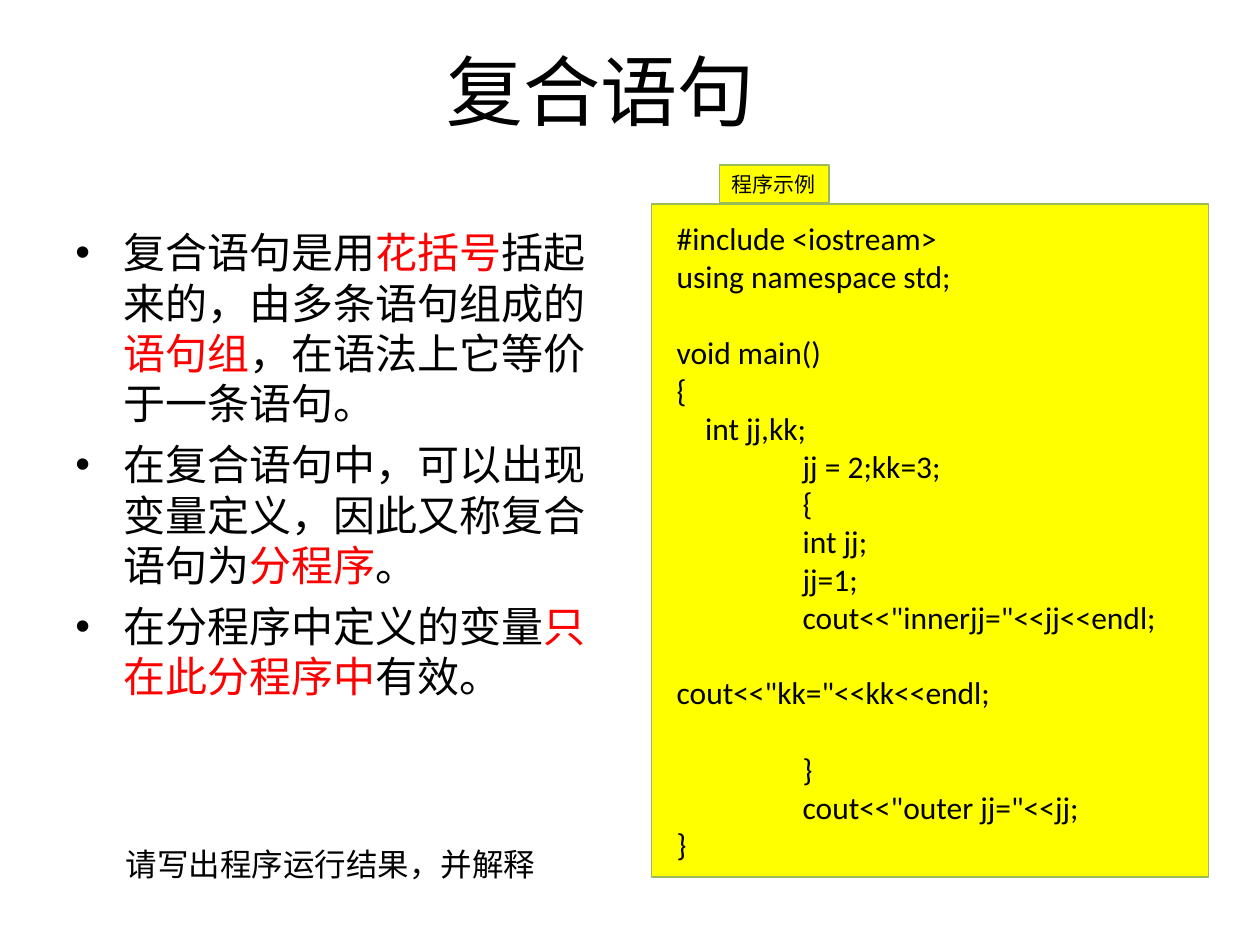
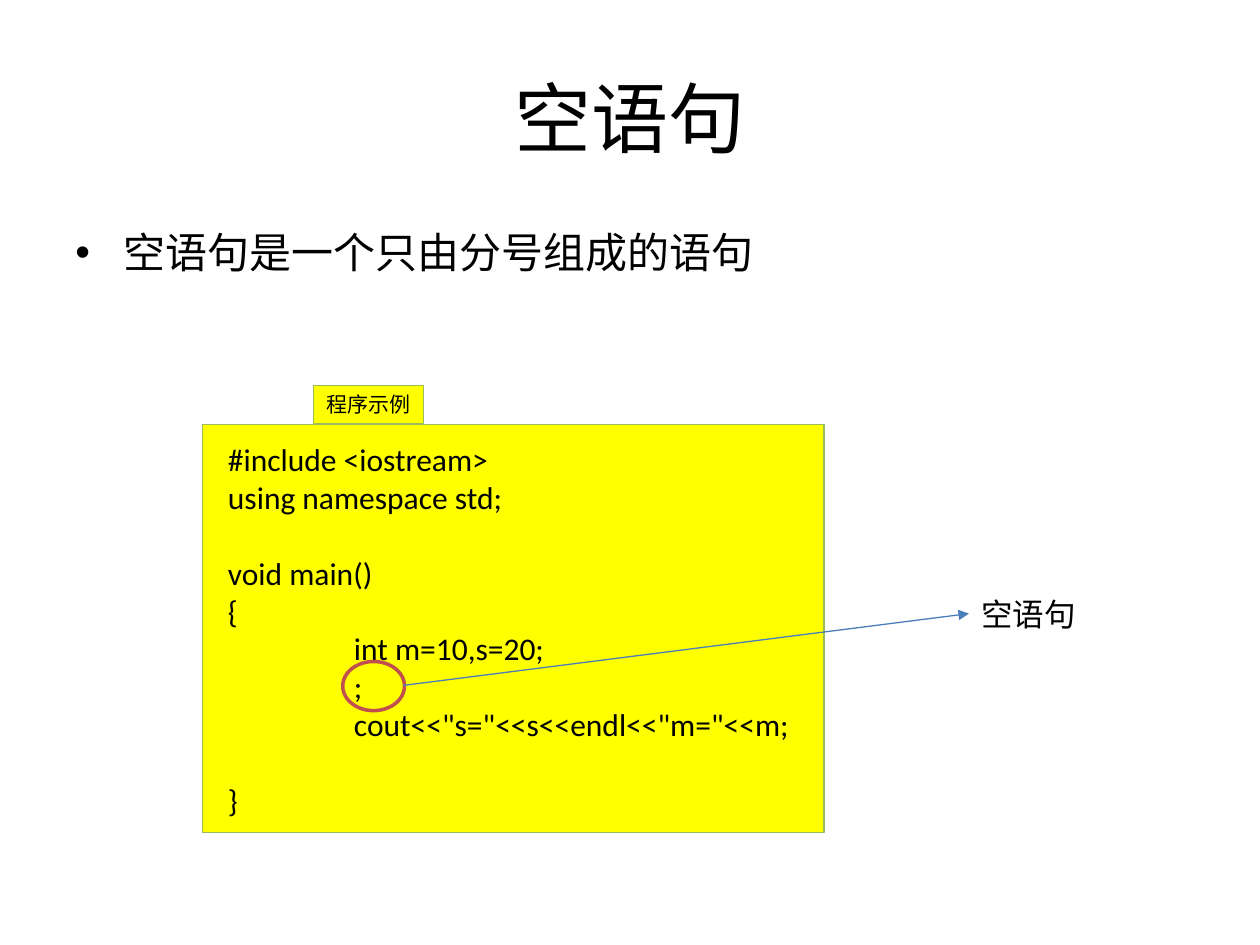
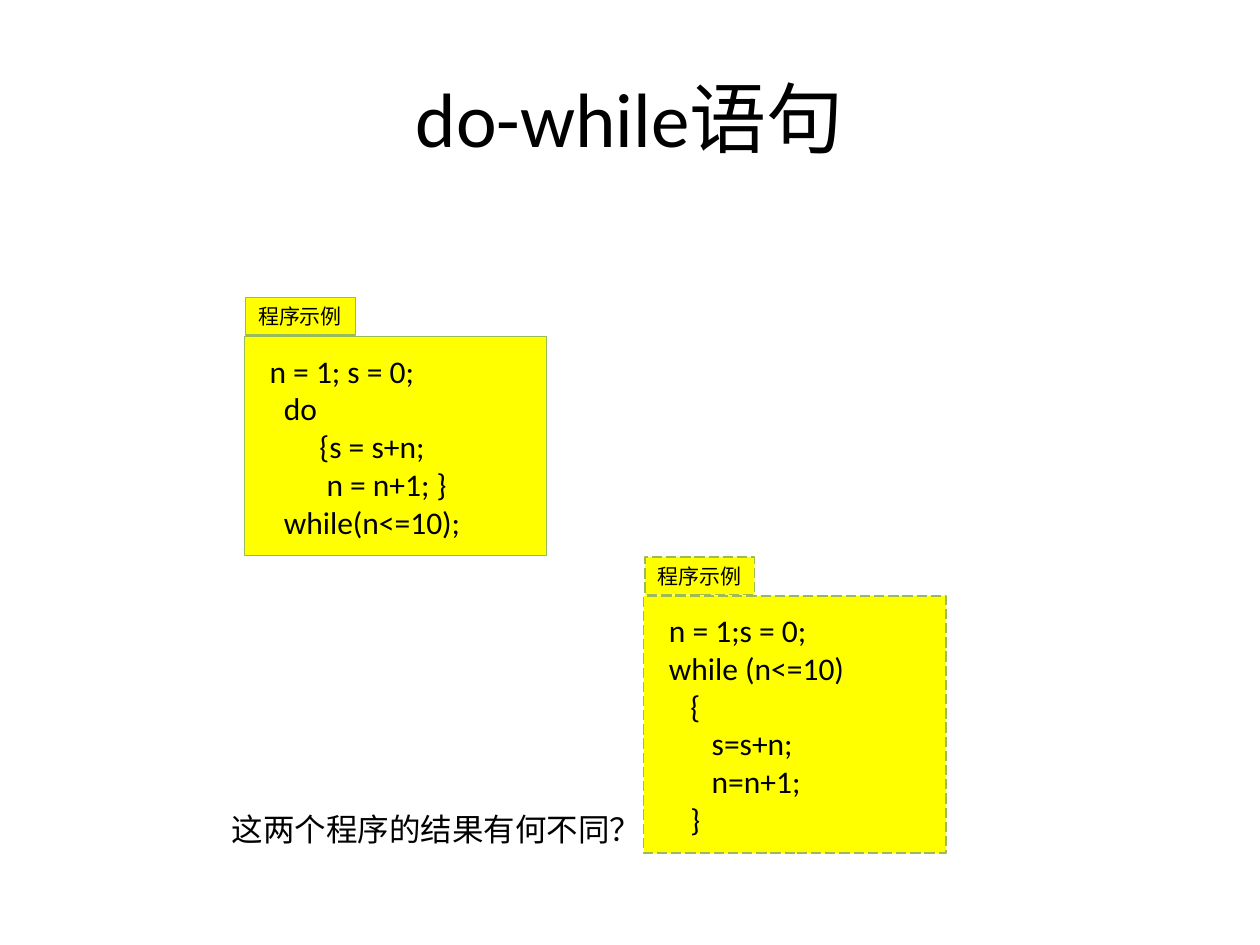
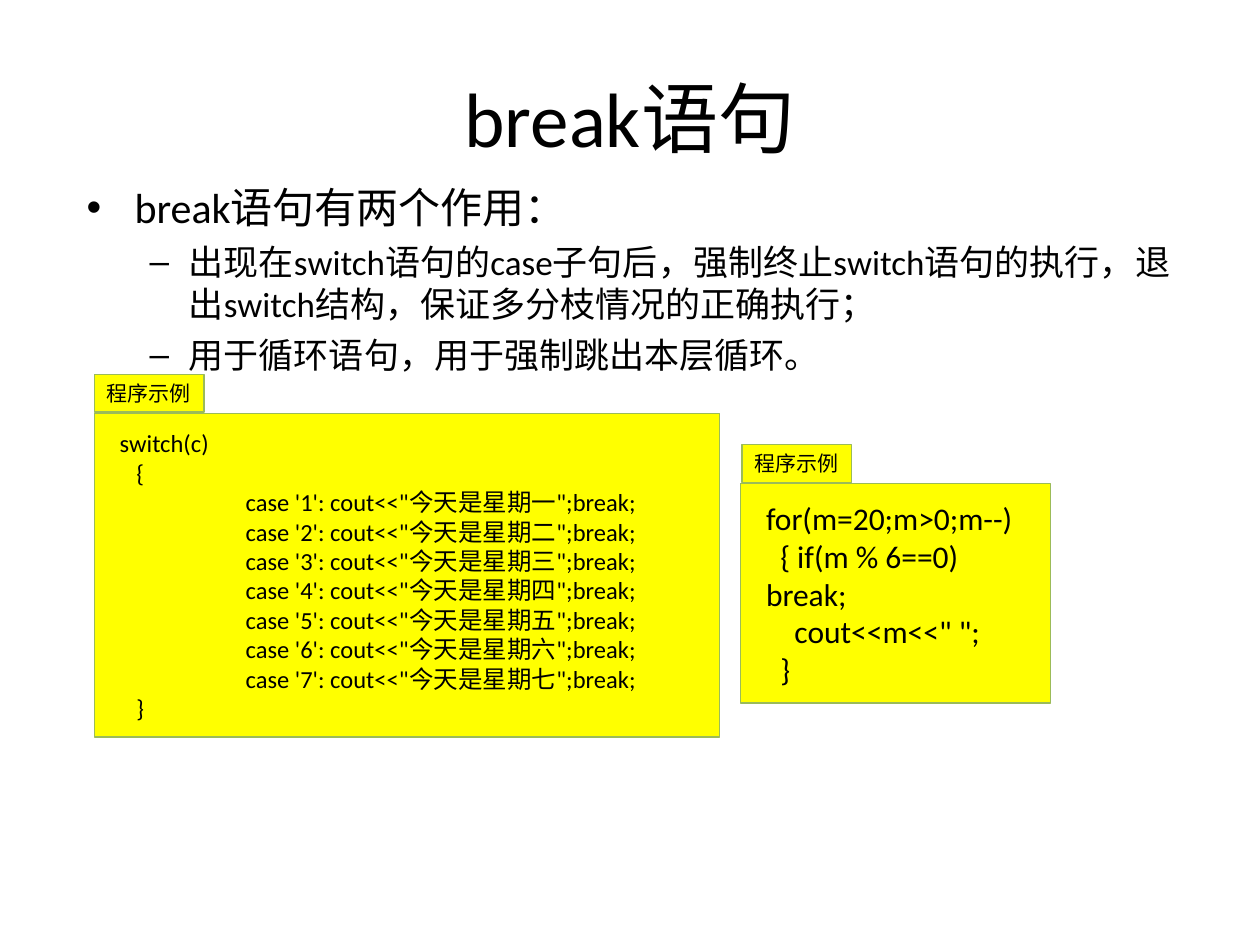
from dataclasses import dataclass

from lxml import etree
from pptx import Presentation
from pptx.dml.color import RGBColor
from pptx.enum.dml import MSO_LINE
from pptx.enum.shapes import MSO_CONNECTOR, MSO_SHAPE
from pptx.enum.text import MSO_ANCHOR, MSO_AUTO_SIZE, PP_ALIGN
from pptx.oxml.ns import qn
from pptx.util import Inches, Pt

RECTANGLE = MSO_SHAPE.RECTANGLE
ELLIPSE = MSO_SHAPE.OVAL
STRAIGHT = MSO_CONNECTOR.STRAIGHT
LONG_DASH = MSO_LINE.LONG_DASH
MIDDLE = MSO_ANCHOR.MIDDLE
TOP = MSO_ANCHOR.TOP
LEFT = PP_ALIGN.LEFT
CENTER = PP_ALIGN.CENTER
GROW = MSO_AUTO_SIZE.SHAPE_TO_FIT_TEXT
FIXED = MSO_AUTO_SIZE.NONE

BLACK = RGBColor(0x00, 0x00, 0x00)
RED = RGBColor(0xFF, 0x00, 0x00)
YELLOW = RGBColor(0xFF, 0xFF, 0x00)
GREEN = RGBColor(0x9B, 0xBB, 0x59)
BRICK = RGBColor(0xC0, 0x50, 0x4D)
BLUE = RGBColor(0x4A, 0x7E, 0xBB)

FONT = "Calibri"
THIN = Pt(0.75)
LINE_HEIGHT = 1.22
SPACE_WIDTH = 0.226
TAB_STOPS = range(1, 8)
TAB_LABEL = "程序示例"
TAB_RISE = 0.31


@dataclass(frozen=True)
class Box:
    left: float
    top: float
    width: float
    height: float

    def lengths(self) -> tuple:
        return tuple(Inches(v) for v in (self.left, self.top, self.width, self.height))


@dataclass(frozen=True)
class BulletLevel:
    sign: str
    size: int
    margin: float
    hanging: float
    before: int


@dataclass(frozen=True)
class Bullet:
    text: str
    level: int = 0


@dataclass(frozen=True)
class Listing:
    box: Box
    tab_left: float
    code: str
    size: int = 18
    dashed: bool = False


LEVELS = (
    BulletLevel("•", 24, 0.38, 0.38, 6),
    BulletLevel("–", 20, 0.81, 0.31, 5),
)
TITLE_BOX = Box(0.5, 0.3, 9, 1.25)


def style_font(font, size: float, color: RGBColor = BLACK) -> None:
    font.name = FONT
    font.size = Pt(size)
    font.color.rgb = color


def prepare_frame(shape, wrap: bool, auto_size, pad_x: float = 0.1, pad_y: float = 0.05):
    frame = shape.text_frame
    frame.word_wrap = wrap
    frame.auto_size = auto_size
    frame.vertical_anchor = TOP
    frame.margin_left = frame.margin_right = Inches(pad_x)
    frame.margin_top = frame.margin_bottom = Inches(pad_y)
    return frame


def next_paragraph(frame, index: int):
    return frame.add_paragraph() if index else frame.paragraphs[0]


def write_line(paragraph, text: str, size: float, align=LEFT) -> None:
    paragraph.text = text
    paragraph.alignment = align
    style_font(paragraph.font, size)


def add_title(slide, text: str, box: Box = TITLE_BOX) -> None:
    frame = prepare_frame(slide.shapes.add_textbox(*box.lengths()), True, FIXED)
    frame.vertical_anchor = MIDDLE
    write_line(frame.paragraphs[0], text, 44, CENTER)


def add_remark(slide, text: str, box: Box, wrap: bool = False) -> None:
    frame = prepare_frame(slide.shapes.add_textbox(*box.lengths()), wrap, GROW)
    write_line(frame.paragraphs[0], text, 18)


def set_bullet(paragraph, level: BulletLevel) -> None:
    properties = paragraph._p.get_or_add_pPr()
    properties.set("marL", str(Inches(level.margin)))
    properties.set("indent", str(-Inches(level.hanging)))
    bullet_font = etree.SubElement(properties, qn("a:buFont"))
    bullet_font.set("typeface", "Arial")
    etree.SubElement(properties, qn("a:buChar")).set("char", level.sign)


def add_bullets(slide, box: Box, bullets: list[Bullet]) -> None:
    frame = prepare_frame(slide.shapes.add_textbox(*box.lengths()), True, FIXED)
    for index, bullet in enumerate(bullets):
        level = LEVELS[bullet.level]
        paragraph = next_paragraph(frame, index)
        paragraph.level = bullet.level
        paragraph.space_before = Pt(level.before)
        set_bullet(paragraph, level)
        for position, words in enumerate(bullet.text.split("|")):
            run = paragraph.add_run()
            run.text = words
            style_font(run.font, level.size, RED if position % 2 else BLACK)


def add_panel(slide, box: Box, dashed: bool):
    panel = slide.shapes.add_shape(RECTANGLE, *box.lengths())
    panel.shadow.inherit = False
    panel.fill.solid()
    panel.fill.fore_color.rgb = YELLOW
    panel.line.color.rgb = GREEN
    panel.line.width = THIN
    if dashed:
        panel.line.dash_style = LONG_DASH
    return panel


def set_tab_stops(paragraph) -> None:
    properties = paragraph._p.get_or_add_pPr()
    stops = etree.Element(qn("a:tabLst"))
    for inches in TAB_STOPS:
        stop = etree.SubElement(stops, qn("a:tab"))
        stop.set("pos", str(Inches(inches)))
        stop.set("algn", "l")
    properties.find(qn("a:defRPr")).addprevious(stops)


def write_code(frame, code: str, size: int) -> None:
    skipped = 0
    written = 0
    for line in code.strip("\n").split("\n"):
        if not line:
            skipped += 1
            continue
        text = line.lstrip(" ")
        paragraph = next_paragraph(frame, written)
        write_line(paragraph, text, size)
        set_tab_stops(paragraph)
        spaces = len(line) - len(text)
        if spaces:
            first_indent = Pt(spaces * SPACE_WIDTH * size)
            paragraph._p.get_or_add_pPr().set("indent", str(first_indent))
        if skipped:
            paragraph.space_before = Pt(skipped * size * LINE_HEIGHT)
        skipped = 0
        written += 1


def add_listing(slide, listing: Listing) -> None:
    panel = add_panel(slide, listing.box, listing.dashed)
    write_code(prepare_frame(panel, True, GROW, 0.2, 0.12), listing.code, listing.size)
    tab_box = Box(listing.tab_left, listing.box.top - TAB_RISE, 0.87, 0.3)
    tab = add_panel(slide, tab_box, listing.dashed)
    write_line(prepare_frame(tab, False, GROW).paragraphs[0], TAB_LABEL, 12)


def add_ring(slide, box: Box) -> None:
    ring = slide.shapes.add_shape(ELLIPSE, *box.lengths())
    ring.shadow.inherit = False
    ring.fill.background()
    ring.line.color.rgb = BRICK
    ring.line.width = Pt(2)


def add_arrow(slide, start: tuple[float, float], end: tuple[float, float]) -> None:
    arrow = slide.shapes.add_connector(STRAIGHT, *(Inches(v) for v in start + end))
    arrow.line.color.rgb = BLUE
    arrow.line.width = THIN
    outline = arrow.line._get_or_add_ln()
    etree.SubElement(outline, qn("a:tailEnd")).set("type", "triangle")
    etree.SubElement(arrow._element.spPr, qn("a:effectLst"))


COMPOUND_CODE = """
#include <iostream>
using namespace std;

void main()
{
    int jj,kk;
\tjj = 2;kk=3;
\t{
\tint jj;
\tjj=1;
\tcout<<"innerjj="<<jj<<endl;
\t\tcout<<"kk="<<kk<<endl;

\t}
\tcout<<"outer jj="<<jj;
}
"""

EMPTY_CODE = """
#include <iostream>
using namespace std;

void main()
{
\tint m=10,s=20;
\t;
\tcout<<"s="<<s<<endl<<"m="<<m;

}
"""

DO_WHILE_CODE = """
n = 1; s = 0;
  do
       {s = s+n;
        n = n+1; }
  while(n<=10);
"""

WHILE_CODE = """
n = 1;s = 0;
while (n<=10)
   {
      s=s+n;
      n=n+1;
   }
"""

CASES = "\n".join(
    f"\tcase '{number}': cout<<\"今天是星期{day}\";break;"
    for number, day in enumerate("一二三四五六七", 1)
)
SWITCH_CODE = f"switch(c)\n   {{\n{CASES}\n   }}"

FOR_CODE = """
for(m=20;m>0;m--)
  { if(m % 6==0) break;
    cout<<m<<" ";
  }
"""


def build_compound(slide) -> None:
    add_title(slide, "复合语句", Box(0.27, 0.21, 9, 1.01))
    add_bullets(slide, Box(0.5, 1.75, 4.42, 4.95), [
        Bullet("复合语句是用|花括号|括起来的，由多条语句组成的|语句组|，在语法上它等价于一条语句。"),
        Bullet("在复合语句中，可以出现变量定义，因此又称复合语句为|分程序|。"),
        Bullet("在分程序中定义的变量|只在此分程序中|有效。"),
    ])
    add_listing(slide, Listing(Box(5.17, 1.62, 4.42, 5.34), 5.71, COMPOUND_CODE))
    add_remark(slide, "请写出程序运行结果，并解释", Box(0.9, 6.66, 3.86, 0.4), wrap=True)


def build_empty(slide) -> None:
    add_title(slide, "空语句")
    add_bullets(slide, Box(0.5, 1.75, 9, 4.95), [Bullet("空语句是一个只由分号组成的语句")])
    add_listing(slide, Listing(Box(1.61, 3.37, 4.93, 3.24), 2.49, EMPTY_CODE))
    add_remark(slide, "空语句", Box(7.69, 4.67, 0.95, 0.4))
    add_ring(slide, Box(2.72, 5.25, 0.49, 0.39))
    add_arrow(slide, (3.2, 5.44), (7.69, 4.87))


def build_do_while(slide) -> None:
    add_title(slide, "do-while语句")
    add_listing(slide, Listing(Box(1.94, 2.67, 2.4, 1.74), 1.95, DO_WHILE_CODE))
    add_listing(slide, Listing(Box(5.11, 4.73, 2.4, 2.04), 5.12, WHILE_CODE, dashed=True))
    add_remark(slide, "这两个程序的结果有何不同？", Box(1.74, 6.38, 3.45, 0.4))


def build_break(slide) -> None:
    add_title(slide, "break语句")
    add_bullets(slide, Box(0.59, 1.39, 9, 4.95), [
        Bullet("break语句有两个作用："),
        Bullet("出现在switch语句的case子句后，强制终止switch语句的执行，"
               "退出switch结构，保证多分枝情况的正确执行；", 1),
        Bullet("用于循环语句，用于强制跳出本层循环。", 1),
    ])
    add_listing(slide, Listing(Box(0.75, 3.28, 4.96, 2.57), 0.75, SWITCH_CODE, size=14))
    add_listing(slide, Listing(Box(5.88, 3.84, 2.46, 1.74), 5.89, FOR_CODE))


def main() -> None:
    deck = Presentation()
    deck.slide_width = Inches(10)
    deck.slide_height = Inches(7.5)
    blank = deck.slide_layouts[6]
    for build in (build_compound, build_empty, build_do_while, build_break):
        build(deck.slides.add_slide(blank))
    deck.save("out.pptx")


main()
